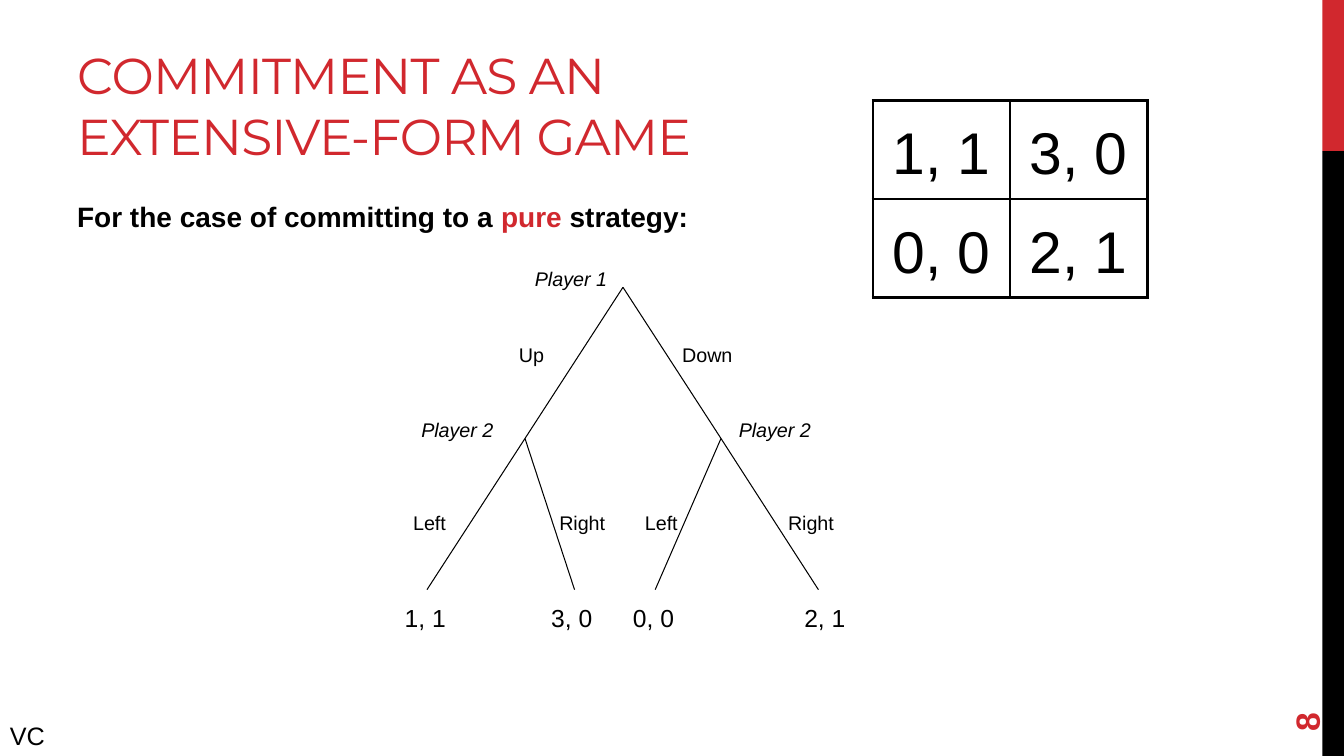
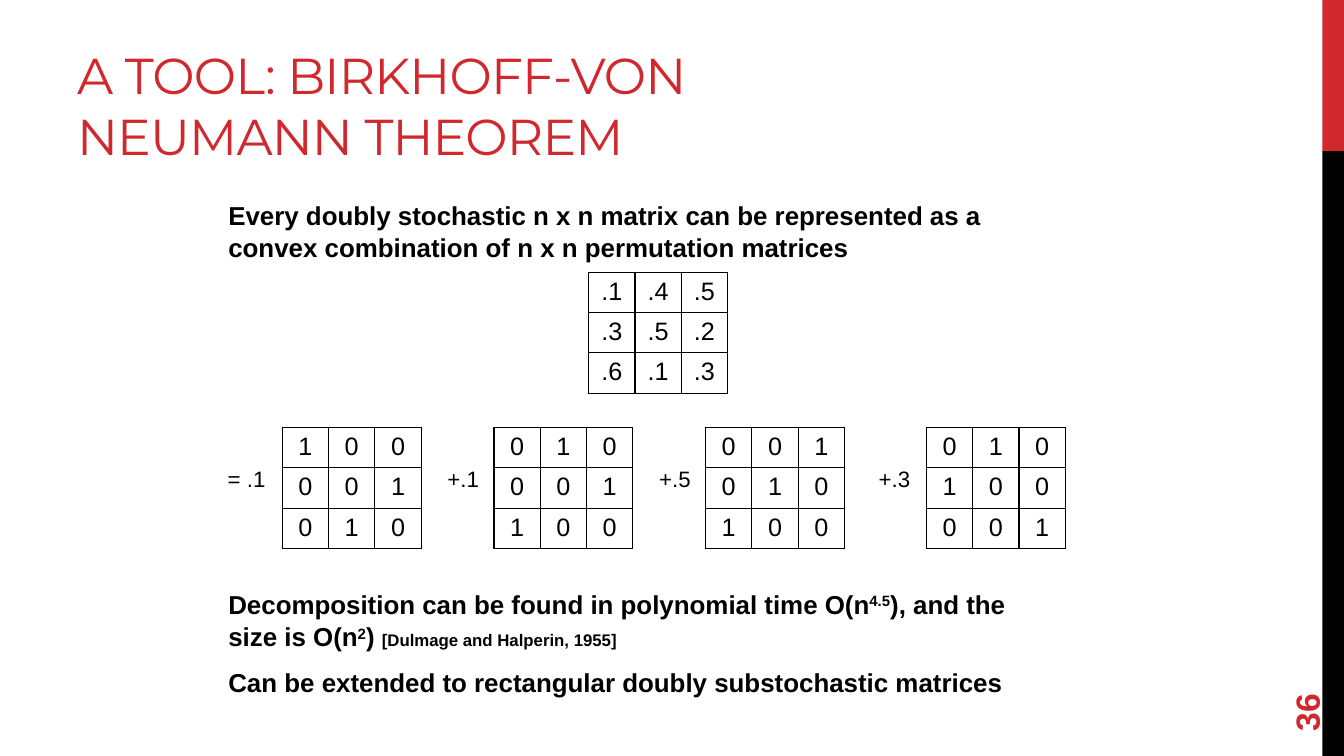
from dataclasses import dataclass
from typing import NamedTuple, Optional

from lxml.etree import SubElement
from pptx import Presentation
from pptx.dml.color import RGBColor
from pptx.enum.shapes import MSO_CONNECTOR as Connector, MSO_SHAPE as Shape
from pptx.enum.text import MSO_ANCHOR as Anchor, PP_ALIGN as Align
from pptx.oxml.ns import qn
from pptx.util import Pt


@dataclass(frozen=True)
class Theme:
    red: RGBColor = RGBColor(0xD1, 0x28, 0x2E)
    black: RGBColor = RGBColor(0, 0, 0)
    white: RGBColor = RGBColor(0xFF, 0xFF, 0xFF)
    title_font: str = "Montserrat"
    text_font: str = "Arial"
    title: float = 36
    lead: float = 20
    body: float = 18.5
    cite: float = 12
    label: float = 14.1
    payoff: float = 17.6
    factor: float = 15.9
    matrix: float = 18
    game: float = 42
    number: float = 24
    footer: float = 18


THEME = Theme()
WIDTH, HEIGHT = 960, 540
BODY_SPACING = 1.04


class Box(NamedTuple):
    left: float
    top: float
    width: float
    height: float


class Point(NamedTuple):
    x: float
    y: float


class Label(NamedTuple):
    text: str
    left: float
    top: float
    size: float = THEME.label
    italic: bool = False


class Term(NamedTuple):
    factor: str
    factor_left: float
    matrix_left: float
    rows: tuple[str, ...]


class Grid(NamedTuple):
    """Look of a table: cell size, type size and border widths."""
    cell_width: float
    cell_height: float
    size: float
    outer: float = 1
    inner: float = 1
    spacing: Optional[float] = None


GAME_GRID = Grid(98, 70.2, THEME.game, outer=2.25, spacing=1.24)
MATRIX_GRID = Grid(33.1, 28.8, THEME.matrix)


def add_run(p, text: str, *, size: float, color: RGBColor = THEME.black,
            font: str = THEME.text_font, bold: bool = False, italic: bool = False,
            raised: bool = False, tracking: float = 0) -> None:
    r = p.add_run()
    r.text = text
    r.font.size, r.font.name = Pt(size), font
    r.font.bold, r.font.italic = bold, italic
    r.font.color.rgb = color
    if raised:
        r.font._element.set("baseline", "30000")
    if tracking:
        r.font._element.set("spc", str(round(tracking * 100)))


def add_box(slide, box: Box, anchor: Anchor = Anchor.TOP):
    sp = slide.shapes.add_textbox(*map(Pt, box))
    sp.text_frame.word_wrap = True
    sp.text_frame.vertical_anchor = anchor
    return sp


def add_label(slide, label: Label) -> None:
    sp = add_box(slide, Box(label.left, label.top, 70, label.size * 1.15 + 7.2))
    add_run(sp.text_frame.paragraphs[0], label.text, size=label.size, italic=label.italic)


def add_bar(slide, box: Box, color: RGBColor) -> None:
    sp = slide.shapes.add_shape(Shape.RECTANGLE, *map(Pt, box))
    sp.shadow.inherit = False
    sp.fill.solid()
    sp.fill.fore_color.rgb = color
    sp.line.fill.background()


def add_line(slide, start: Point, end: Point) -> None:
    line = slide.shapes.add_connector(Connector.STRAIGHT, *map(Pt, (*start, *end)))
    line.line.color.rgb = THEME.black
    line.line.width = Pt(0.75)
    SubElement(line._element.spPr, qn("a:effectLst"))


def set_border(cell, side: str, width: float) -> None:
    ln = SubElement(cell._tc.get_or_add_tcPr(), qn(f"a:ln{side}"), w=str(Pt(width)))
    fill = SubElement(ln, qn("a:solidFill"))
    SubElement(fill, qn("a:srgbClr"), val=str(THEME.black))


def add_grid(slide, left: float, top: float, rows: list[list[str]], grid: Grid) -> None:
    n_rows, n_cols = len(rows), len(rows[0])
    table = slide.shapes.add_table(
        n_rows, n_cols, Pt(left), Pt(top),
        Pt(n_cols * grid.cell_width), Pt(n_rows * grid.cell_height)).table
    table.first_row = table.horz_banding = False
    for i, row in enumerate(rows):
        for j, text in enumerate(row):
            cell = table.cell(i, j)
            on_edge = {"L": j == 0, "R": j == n_cols - 1, "T": i == 0, "B": i == n_rows - 1}
            for side, is_outer in on_edge.items():
                set_border(cell, side, grid.outer if is_outer else grid.inner)
            cell.fill.solid()
            cell.fill.fore_color.rgb = THEME.white
            p = cell.text_frame.paragraphs[0]
            p.alignment = Align.CENTER
            p.line_spacing = grid.spacing
            add_run(p, text, size=grid.size)


def add_slide(prs, title: str, number: int):
    """Add a slide with the side bars, title and page number that all share."""
    slide = prs.slides.add_slide(prs.slide_layouts[6])
    add_bar(slide, Box(944.6, 0, WIDTH - 944.6, 108), THEME.red)
    add_bar(slide, Box(944.6, 108, WIDTH - 944.6, HEIGHT - 108), THEME.black)

    tf = add_box(slide, Box(48, 12, 600, 108), Anchor.BOTTOM).text_frame
    tf.margin_bottom = Pt(2)
    add_run(tf.paragraphs[0], title, size=THEME.title, color=THEME.red,
            font=THEME.title_font, tracking=-0.6)

    sp = add_box(slide, Box(881.3, 458.6, 103.7, 38.2), Anchor.MIDDLE)
    sp.rotation = 270
    add_run(sp.text_frame.paragraphs[0], str(number), size=THEME.number,
            color=THEME.red, bold=True)
    return slide


def add_game_tree(slide) -> None:
    root = Point(445, 205.2)
    up, down = Point(375, 313.2), Point(515, 313.2)
    leaf_y = 421.2
    branches = [(root, up), (root, down)]
    branches += [(up, Point(x, leaf_y)) for x in (305, 410.4)]
    branches += [(down, Point(x, leaf_y)) for x in (468, 584.6)]
    for start, end in branches:
        add_line(slide, start, end)

    labels = [
        Label("Player 1", 375, 187.2, italic=True),
        Label("Player 2", 293.8, 295.2, italic=True),
        Label("Player 2", 520.6, 295.2, italic=True),
        Label("Up", 363.6, 241.2),
        Label("Down", 480.2, 241.2),
    ]
    moves = (("Left", 288), ("Right", 392.4), ("Left", 453.6), ("Right", 555.8))
    labels += [Label(text, left, 361.4) for text, left in moves]
    payoffs = (("1, 1", 282), ("3, 0", 386.6), ("0, 0", 445), ("2, 1", 567.4))
    labels += [Label(text, left, 427, THEME.payoff) for text, left in payoffs]
    for label in labels:
        add_label(slide, label)


def build_commitment(prs) -> None:
    slide = add_slide(prs, "COMMITMENT AS AN EXTENSIVE-FORM GAME", 8)
    p = add_box(slide, Box(48, 138.2, 800, 36)).text_frame.paragraphs[0]
    p.line_spacing = BODY_SPACING
    for text, color in (("For the case of committing to a ", THEME.black),
                        ("pure", THEME.red), (" strategy:", THEME.black)):
        add_run(p, text, size=THEME.lead, color=color, bold=True)
    add_game_tree(slide)
    add_label(slide, Label("VC", 0, 511.2, THEME.footer))
    add_grid(slide, 623.5, 72, [["1, 1", "3, 0"], ["0, 0", "2, 1"]], GAME_GRID)


def build_theorem(prs) -> None:
    slide = add_slide(prs, "A TOOL: BIRKHOFF-VON NEUMANN THEOREM", 36)
    p = add_box(slide, Box(156, 138.2, 600, 54)).text_frame.paragraphs[0]
    p.line_spacing = BODY_SPACING
    add_run(p, "Every doubly stochastic n x n matrix can be represented as a convex "
               "combination of n x n permutation matrices", size=THEME.body, bold=True)

    add_grid(slide, 420.5, 194.4,
             [[".1", ".4", ".5"], [".3", ".5", ".2"], [".6", ".1", ".3"]], MATRIX_GRID)
    terms = (
        Term("= .1", 155.5, 201.6, ("100", "001", "010")),
        Term("+.1", 312.5, 352.8, ("010", "001", "100")),
        Term("+.5", 463.7, 504, ("001", "010", "100")),
        Term("+.3", 620.6, 661.7, ("010", "100", "001")),
    )
    for term in terms:
        add_label(slide, Label(term.factor, term.factor_left, 329, THEME.factor))
        add_grid(slide, term.matrix_left, 305.3, [list(row) for row in term.rows], MATRIX_GRID)

    tf = add_box(slide, Box(156, 416, 600, 82)).text_frame
    p = tf.paragraphs[0]
    p.line_spacing = BODY_SPACING
    for text, raised in (("Decomposition can be found in polynomial time O(n", False),
                         ("4.5", True), ("), and the size is O(n", False),
                         ("2", True), (") ", False)):
        add_run(p, text, size=THEME.body, bold=True, raised=raised)
    add_run(p, "[Dulmage and Halperin, 1955]", size=THEME.cite, bold=True)
    p = tf.add_paragraph()
    p.line_spacing = BODY_SPACING
    p.space_before = Pt(9.4)
    add_run(p, "Can be extended to rectangular doubly substochastic matrices",
            size=THEME.body, bold=True)


def main() -> None:
    prs = Presentation()
    prs.slide_width, prs.slide_height = Pt(WIDTH), Pt(HEIGHT)
    build_commitment(prs)
    build_theorem(prs)
    prs.save("out.pptx")


if __name__ == "__main__":
    main()
